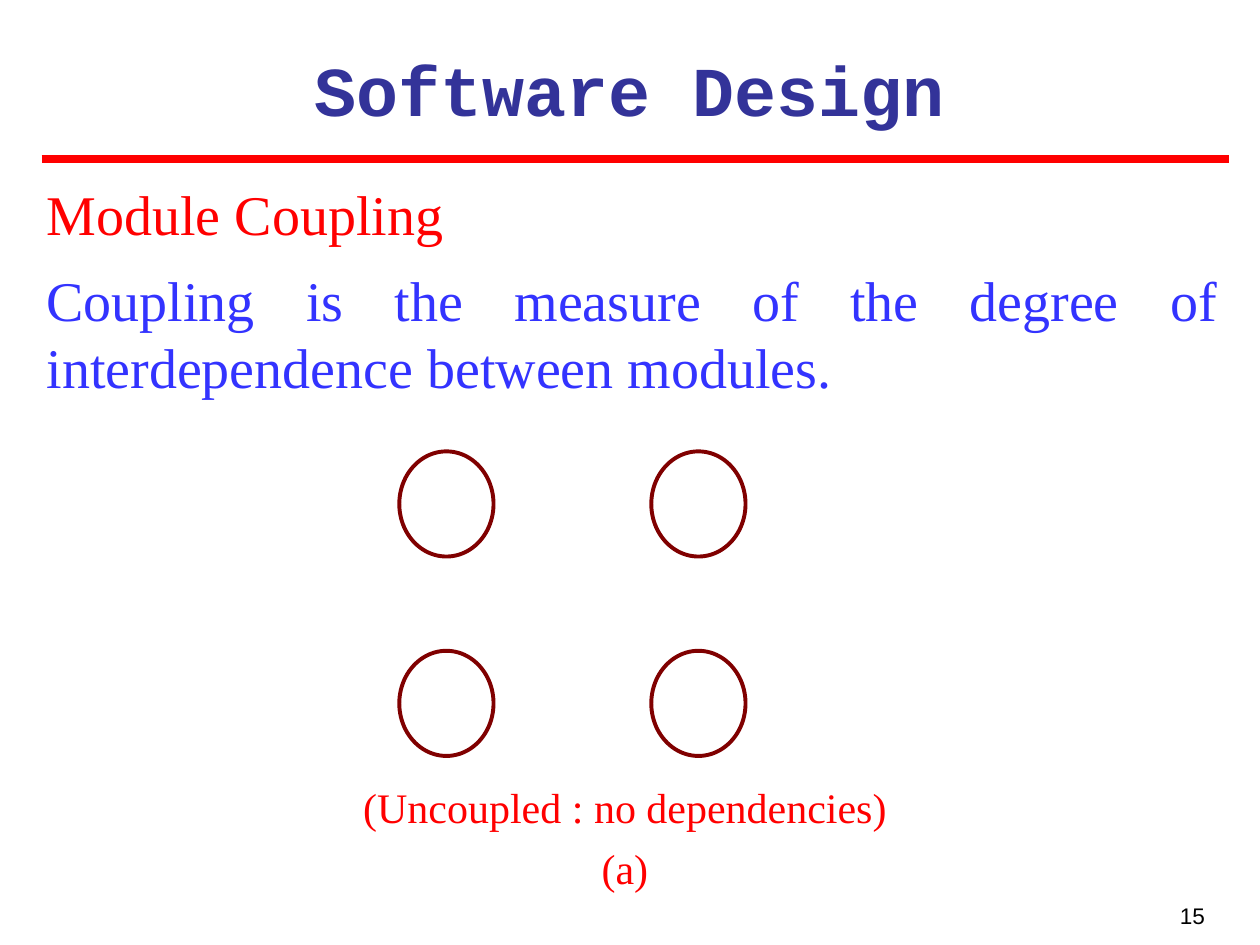
import pptx
import pptx.util
import pptx.dml.color
import pptx.enum.shapes
import pptx.enum.text
import pptx.oxml
from pptx.util import Cm, Pt

RGBColor = pptx.dml.color.RGBColor
ALIGN = pptx.enum.text.PP_ALIGN
KIND = pptx.enum.shapes.MSO_SHAPE
NAVY = RGBColor(0x33, 0x33, 0x99)
BLUE = RGBColor(0x33, 0x33, 0xFF)
RED = RGBColor(0xFF, 0x00, 0x00)
MAROON = RGBColor(0x80, 0x00, 0x00)
BLACK = RGBColor(0x00, 0x00, 0x00)

# Content: paragraphs with their colour
TITLE = [("Software Design", NAVY)]
BODY = [
    ("Module Coupling", RED),
    ("Coupling is the measure of the degree of interdependence between modules.", BLUE),
]
NOTE = [("(Uncoupled : no dependencies)", RED), ("(a)", RED)]
PAGE = [("15", BLACK)]

# Formats
HEAD = {"name": "Courier New", "size": Pt(40), "bold": True}
MAIN = {"name": "Times New Roman", "size": Pt(32)}
SMALL = {"name": "Times New Roman", "size": Pt(24)}
FOOT = {"name": "Arial", "size": Pt(12.9)}

# Module circles, in cm: first corner, steps and size
LEFT, TOP = 8.05, 9.1
STEP_X, STEP_Y = 5.08, 4.02
WIDE, HIGH = 1.9, 2.12


def place(shape, left, top, width, height):
    shape.left, shape.top = Cm(left), Cm(top)
    shape.width, shape.height = Cm(width), Cm(height)


def write(shape, items, style, align, pad=(0.25, 0.13), gap=0, line=1.0):
    """Fill a shape with plain paragraphs; gap is the space between them in points."""
    frame = shape.text_frame
    setup = {
        "word_wrap": True,
        "auto_size": pptx.enum.text.MSO_AUTO_SIZE.NONE,
        "vertical_anchor": pptx.enum.text.MSO_ANCHOR.TOP,
        "margin_left": Cm(pad[0]), "margin_right": Cm(pad[0]),
        "margin_top": Cm(pad[1]), "margin_bottom": Cm(pad[1]),
    }
    for key, value in setup.items():
        setattr(frame, key, value)
    for i, (text, color) in enumerate(items):
        para = frame.add_paragraph() if i else frame.paragraphs[0]
        props = para._p.get_or_add_pPr()
        props.set("marL", "0")
        props.set("indent", "0")
        para.alignment = align
        para.line_spacing = line
        para.space_before = Pt(gap if i else 0)
        props.append(pptx.oxml.parse_xml(
            '<a:buNone xmlns:a="http://schemas.openxmlformats.org/drawingml/2006/main"/>'))
        run = para.add_run()
        run.text = text
        for key, value in style.items():
            setattr(run.font, key, value)
        run.font.color.rgb = color


def main():
    deck = pptx.Presentation()
    deck.slide_width, deck.slide_height = Cm(25.4), Cm(19.05)
    slide = deck.slides.add_slide(deck.slide_layouts[1])
    shapes = slide.shapes

    title, body = shapes.title, slide.placeholders[1]
    place(title, 0.84, 0.81, 23.7, 1.96)
    write(title, TITLE, HEAD, ALIGN.CENTER)
    place(body, 0.94, 3.61, 23.62, 4.4)
    write(body, BODY, MAIN, ALIGN.JUSTIFY, pad=(0, 0), gap=11)

    rule = shapes.add_connector(
        pptx.enum.shapes.MSO_CONNECTOR.STRAIGHT, Cm(0.84), Cm(3.2), Cm(24.77), Cm(3.2))
    rule.line.color.rgb = RED
    rule.line.width = Pt(4.5)
    rule._element.spPr.append(pptx.oxml.parse_xml(
        '<a:effectLst xmlns:a="http://schemas.openxmlformats.org/drawingml/2006/main"/>'))

    for row in range(2):
        for col in range(2):
            ring = shapes.add_shape(
                KIND.OVAL, Cm(LEFT + col * STEP_X), Cm(TOP + row * STEP_Y),
                Cm(WIDE), Cm(HIGH))
            ring.shadow.inherit = False
            ring.fill.background()
            ring.line.color.rgb = MAROON
            ring.line.width = Pt(2.25)

    note = shapes.add_textbox(Cm(1.07), Cm(15.9), Cm(23.06), Cm(2.21))
    write(note, NOTE, SMALL, ALIGN.CENTER, gap=15, line=0.7)
    page = shapes.add_textbox(Cm(18.62), Cm(18.06), Cm(5.92), Cm(0.84))
    write(page, PAGE, FOOT, ALIGN.RIGHT)

    deck.save("out.pptx")


if __name__ == "__main__":
    main()
